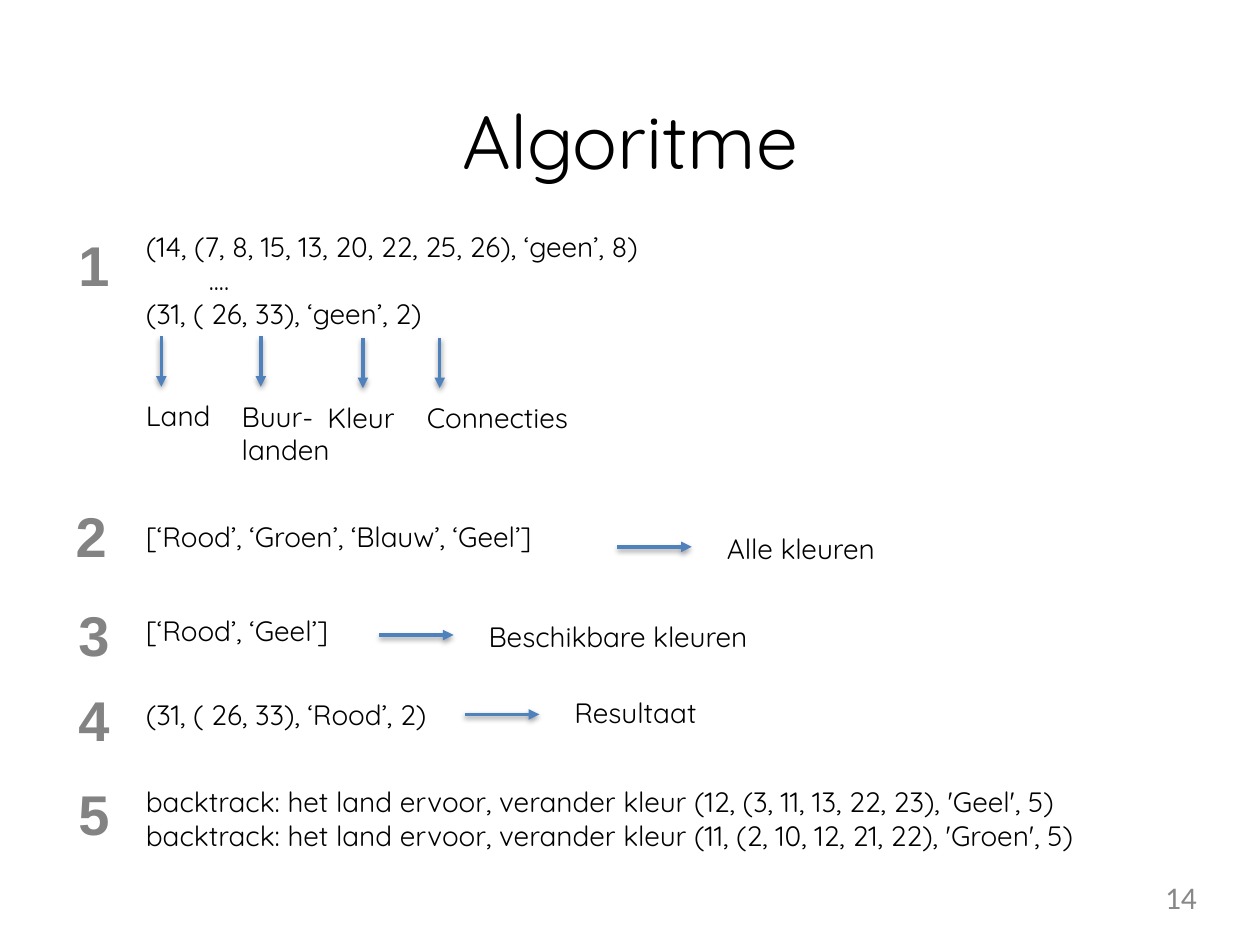
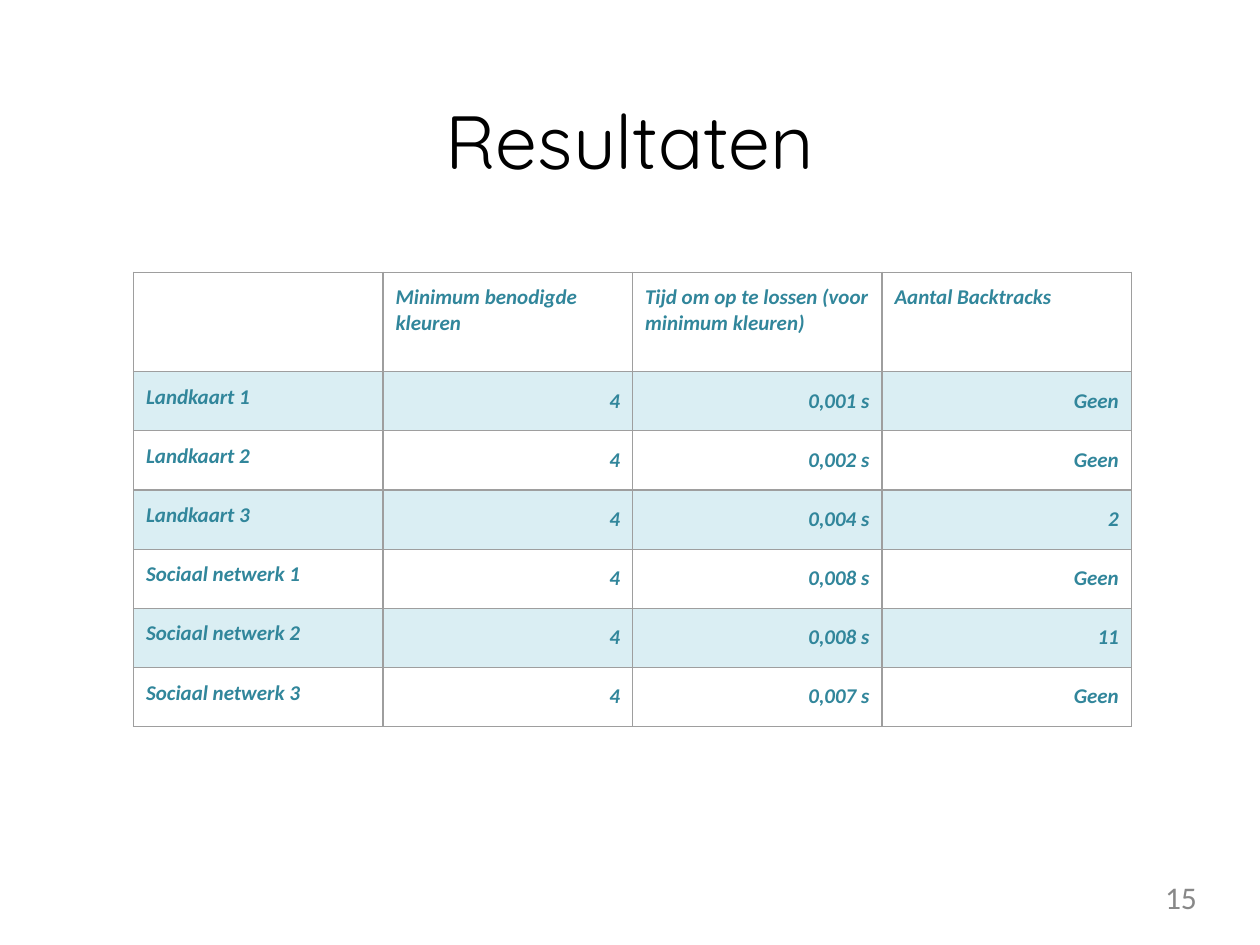
from lxml import etree
from pptx import Presentation
from pptx.dml.color import RGBColor
from pptx.enum.shapes import MSO_CONNECTOR
from pptx.enum.text import MSO_ANCHOR, MSO_AUTO_SIZE, PP_ALIGN
from pptx.oxml.ns import qn
from pptx.util import Inches, Pt

LEFT, CENTER, RIGHT = PP_ALIGN.LEFT, PP_ALIGN.CENTER, PP_ALIGN.RIGHT
TOP = MSO_ANCHOR.TOP
NO_AUTOSIZE, GROW = MSO_AUTO_SIZE.NONE, MSO_AUTO_SIZE.SHAPE_TO_FIT_TEXT
STRAIGHT = MSO_CONNECTOR.STRAIGHT

COLORS = {
    "text": "000000",
    "arrow": "4F81BD",
    "shadow": "000000",
    "step": "838383",
    "step_outline": "A7A7A7",
    "page": "888888",
    "cell_text": "31869B",
    "band": "DAEEF3",
    "plain": "FFFFFF",
    "border": "9E9E9E",
}
BODY_FONT, STEP_FONT, TABLE_FONT = "Quicksand", "Arial", "Calibri"
MARGIN = 1.06
PAD = 0.1


def rgb(name):
    return RGBColor.from_string(COLORS[name])


def add_xml(parent, tag, **attributes):
    return etree.SubElement(parent, qn(tag), attributes)


def add_solid(parent, name):
    fill = add_xml(parent, "a:solidFill")
    return add_xml(fill, "a:srgbClr", val=COLORS[name])


class Deck:
    def __init__(self):
        self.presentation = Presentation()
        self.presentation.slide_width = Inches(10)
        self.presentation.slide_height = Inches(7.5)
        self.slide = None

    def new_slide(self, title, page):
        """Start a slide with the shared title and page number."""
        layout = self.presentation.slide_layouts[6]
        self.slide = self.presentation.slides.add_slide(layout)
        self.text(MARGIN, 0.75, 7.88, 0.97, [title], size=43, align=CENTER, pad=(0, 0))
        self.text(7.2, 6.97, 2.3, 0.29, [page], size=18, font=TABLE_FONT,
                  color="page", align=RIGHT, pad=(0, 0))

    def run(self, paragraph, words, size, font, color, bold=False, italic=False):
        run = paragraph.add_run()
        run.text = words
        run.font.size = Pt(size)
        run.font.name = font
        run.font.bold = bold
        run.font.italic = italic
        run.font.color.rgb = rgb(color)
        return run

    def text(self, left, top, width, height, lines, size=16, font=BODY_FONT,
             color="text", align=LEFT, pad=(PAD, PAD), bold=False, wrap=True):
        """Add a text box with one paragraph per line; return its runs."""
        box = self.slide.shapes.add_textbox(
            Inches(left), Inches(top), Inches(width), Inches(height))
        frame = box.text_frame
        frame.word_wrap = wrap
        frame.auto_size = NO_AUTOSIZE if wrap else GROW
        frame.vertical_anchor = TOP
        frame.margin_left = frame.margin_right = Inches(pad[0])
        frame.margin_top = frame.margin_bottom = Inches(pad[1])
        runs = []
        for index, line in enumerate(lines):
            paragraph = frame.add_paragraph() if index else frame.paragraphs[0]
            paragraph.alignment = align
            runs.append(self.run(paragraph, line, size, font, color, bold))
        return runs

    def step_number(self, left, top, number):
        """Add a large outlined step number."""
        runs = self.text(left, top, 0.45, 0.64, [str(number)], size=32, font=STEP_FONT,
                         color="step", align=CENTER, pad=(0.1, 0.05), bold=True, wrap=False)
        outline = etree.Element(qn("a:ln"), w=str(Pt(1)))
        add_solid(outline, "step_outline")
        runs[0].font._element.insert(0, outline)

    def arrow(self, left, top, across=0, down=0):
        """Add an arrow with a soft shadow below it."""
        line = self.slide.shapes.add_connector(
            STRAIGHT, Inches(left), Inches(top), Inches(left + across), Inches(top + down))
        line.line.color.rgb = rgb("arrow")
        line.line.width = Pt(2)
        add_xml(line.line._get_or_add_ln(), "a:tailEnd", type="triangle")
        effects = add_xml(line._element.spPr, "a:effectLst")
        shadow = add_xml(effects, "a:outerShdw", blurRad=str(Pt(3)), dist=str(Pt(1.6)),
                         dir="5400000", rotWithShape="0")
        tint = add_xml(shadow, "a:srgbClr", val=COLORS["shadow"])
        add_xml(tint, "a:alpha", val="38000")

    def cell(self, cell, words, fill, is_value):
        properties = cell._tc.get_or_add_tcPr()
        for side in ("a:lnL", "a:lnR", "a:lnT", "a:lnB"):
            add_solid(add_xml(properties, side, w=str(Pt(0.75))), "border")
        cell.fill.solid()
        cell.fill.fore_color.rgb = rgb(fill)
        cell.vertical_anchor = TOP
        cell.margin_left = cell.margin_right = Inches(PAD)
        cell.margin_top = cell.margin_bottom = Inches(PAD)
        paragraph = cell.text_frame.paragraphs[0]
        if is_value:
            paragraph.alignment = RIGHT
            paragraph.line_spacing = 1.15
        if words:
            self.run(paragraph, words, 12, TABLE_FONT, "cell_text", bold=True, italic=True)

    def table(self, left, top, column_width, row_heights, rows, banded):
        """Add a table whose first row and column hold the headings."""
        columns = len(rows[0])
        table = self.slide.shapes.add_table(
            len(rows), columns, Inches(left), Inches(top),
            Inches(column_width * columns), Inches(sum(row_heights))).table
        table.first_row = table.horz_banding = False
        for column in table.columns:
            column.width = Inches(column_width)
        for r, (height, values) in enumerate(zip(row_heights, rows)):
            table.rows[r].height = Inches(height)
            fill = "band" if r in banded else "plain"
            for c, words in enumerate(values):
                self.cell(table.cell(r, c), words, fill, is_value=r > 0 and c > 0)


def algorithm_slide(deck):
    deck.new_slide("Algoritme", "14")

    # Steps: number position, text position and size, lines
    steps = [
        (0.52, 1.78, 1.72, 5, 0.95, ["(14, (7, 8, 15, 13, 20, 22, 25, 26), ‘geen’, 8)",
                                     "\t....", "(31, ( 26, 33), ‘geen’, 2)"]),
        (0.5, 3.93, 4.02, 3.84, 0.52, ["[‘Rood’, ‘Groen’, ‘Blauw’, ‘Geel’]"]),
        (0.52, 4.72, 4.77, 2.07, 0.46, ["[‘Rood’, ‘Geel’]"]),
        (0.52, 5.39, 5.44, 2.71, 0.54, ["(31, ( 26, 33), ‘Rood’, 2)"]),
        (0.52, 6.14, 6.13, 9.01, 0.74, [
            "backtrack: het land ervoor, verander kleur (12, (3, 11, 13, 22, 23), 'Geel', 5)",
            "backtrack: het land ervoor, verander kleur (11, (2, 10, 12, 21, 22), 'Groen', 5)"]),
    ]
    for number, (left, number_top, top, width, height, lines) in enumerate(steps, 1):
        deck.step_number(left, number_top, number)
        deck.text(MARGIN, top, width, height, lines)

    # Fields of the tuple: arrow position, label position and size
    fields = [
        ("Land", 1.28, 2.67, 1.06, 3.06, 0.9, 0.52),
        ("Buur-landen", 2.07, 2.67, 1.82, 3.07, 1.06, 0.69),
        ("Kleur", 2.88, 2.68, 2.5, 3.08, 0.78, 0.52),
        ("Connecties", 3.49, 2.68, 3.29, 3.08, 1.68, 0.52),
    ]
    for label, arrow_left, arrow_top, left, top, width, height in fields:
        deck.arrow(arrow_left, arrow_top, down=0.4)
        deck.text(left, top, width, height, [label])

    # Meaning of steps 2 to 4
    meanings = [
        ("Alle kleuren", 4.9, 4.34, 4.12),
        ("Beschikbare kleuren", 3.01, 5.04, 4.82),
        ("Resultaat", 3.69, 5.67, 5.42),
    ]
    for label, arrow_left, arrow_top, top in meanings:
        deck.arrow(arrow_left, arrow_top, across=0.59)
        deck.text(arrow_left + 0.77, top, 2.64, 0.46, [label])


def results_slide(deck):
    deck.new_slide("Resultaten", "15")
    results = [
        ("", "Minimum benodigde kleuren", "Tijd om op te lossen (voor minimum kleuren)",
         "Aantal Backtracks"),
        ("Landkaart 1", "4", "0,001 s", "Geen"),
        ("Landkaart 2", "4", "0,002 s", "Geen"),
        ("Landkaart 3", "4", "0,004 s", "2"),
        ("Sociaal netwerk 1", "4", "0,008 s", "Geen"),
        ("Sociaal netwerk 2", "4", "0,008 s", "11"),
        ("Sociaal netwerk 3", "4", "0,007 s", "Geen"),
    ]
    deck.table(MARGIN, 2.16, 1.98, [0.79] + [0.47] * 6, results, banded=(1, 3, 5))


def main():
    deck = Deck()
    algorithm_slide(deck)
    results_slide(deck)
    deck.presentation.save("out.pptx")


if __name__ == "__main__":
    main()
